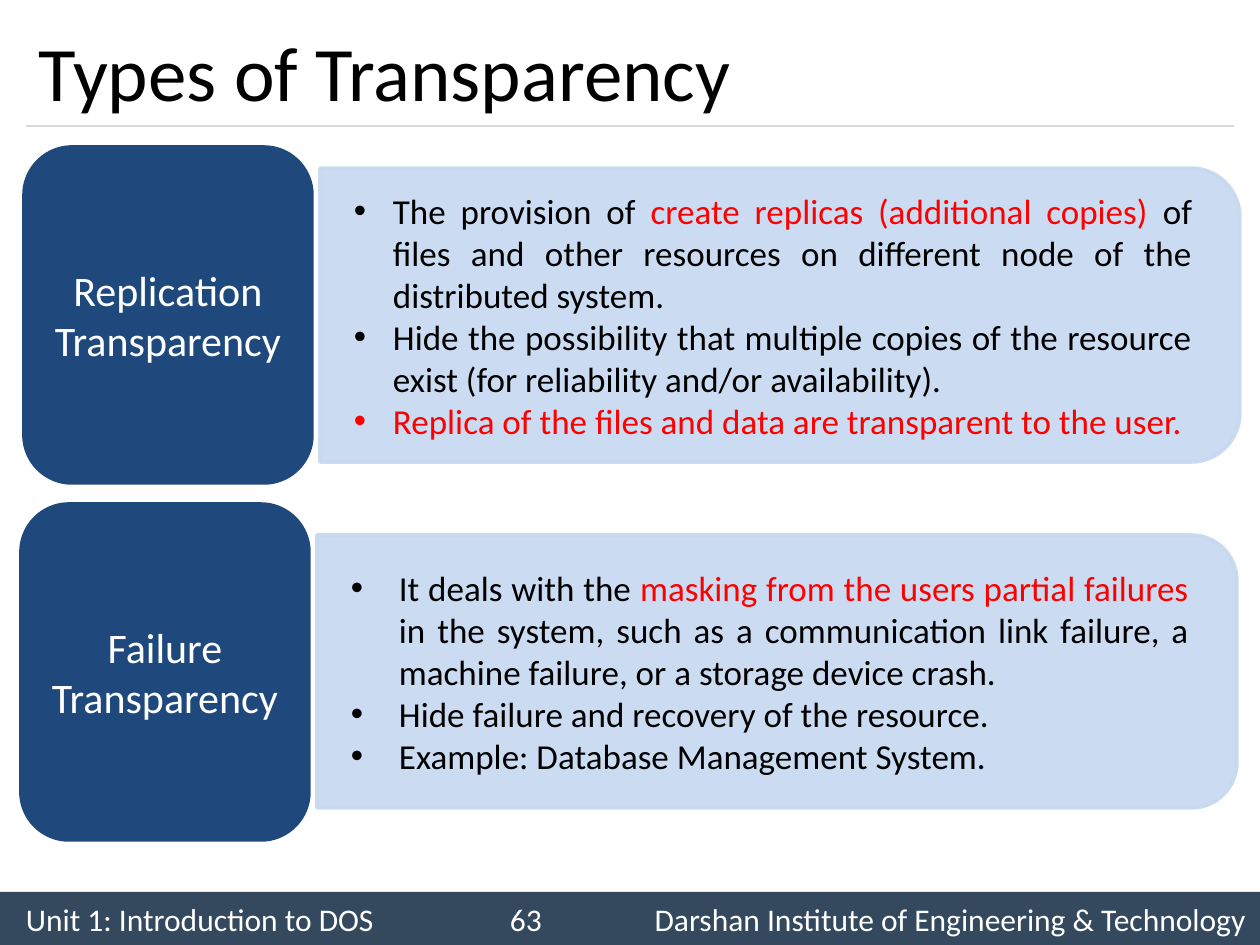
import math
import pptx
import pptx.util
import pptx.dml.color
import pptx.enum.shapes
import pptx.enum.text
import pptx.oxml.ns
from lxml import etree

SCALE = 914400 / 126  # EMU per px
FONT = "Calibri"
BLACK, WHITE, RED = "000000", "FFFFFF", "FF0000"
NAVY, PALE, SLATE, GREY = "1F497D", "C6D9F1", "34495E", "D9D9D9"
ALIGN = pptx.enum.text.PP_ALIGN
SHAPE = pptx.enum.shapes.MSO_SHAPE


def px(length):
    return pptx.util.Emu(round(length * SCALE))


def colour(hex_string):
    return pptx.dml.color.RGBColor.from_string(hex_string)


def add_node(parent, tag, **attributes):
    return etree.SubElement(parent, pptx.oxml.ns.qn(tag), attributes)


class SlideBuilder:
    def __init__(self, slide):
        self.slide = slide

    def add_runs(self, para, runs, size, align):
        para.alignment = align
        for text, run_colour in runs:
            run = para.add_run()
            run.text = text
            run.font.name = FONT
            run.font.size = pptx.util.Pt(size)
            run.font.color.rgb = colour(run_colour)

    def frame(self, shape, left, top, right, bottom):
        frame = shape.text_frame
        frame.word_wrap = True
        frame.vertical_anchor = pptx.enum.text.MSO_ANCHOR.MIDDLE
        frame.margin_left, frame.margin_top = px(left), px(top)
        frame.margin_right, frame.margin_bottom = px(right), px(bottom)
        return frame

    def paint(self, shape, fill, opacity=100):
        shape.shadow.inherit = False
        shape.fill.solid()
        shape.fill.fore_color.rgb = colour(fill)
        shape.line.color.rgb = colour(fill)
        shape.line.width = pptx.util.Pt(2)
        if opacity < 100:
            for node in shape._element.spPr.iter(pptx.oxml.ns.qn("a:srgbClr")):
                add_node(node, "a:alpha", val=str(opacity * 1000))

    def title(self, text, left, top, width, height):
        title = self.slide.shapes.title
        title.left, title.top = px(left), px(top)
        title.width, title.height = px(width), px(height)
        frame = self.frame(title, 13, 6, 13, 6)
        self.add_runs(frame.paragraphs[0], [(text, BLACK)], 44, ALIGN.LEFT)

    def rule(self, left, right, top):
        line = self.slide.shapes.add_connector(
            pptx.enum.shapes.MSO_CONNECTOR.STRAIGHT, px(left), px(top), px(right), px(top))
        line.line.color.rgb = colour(GREY)
        line.line.width = pptx.util.Pt(0.75)
        add_node(line._element.spPr, "a:effectLst")

    def footer(self, parts, left, top, width, height, margin, tabs):
        bar = self.slide.shapes.add_shape(
            SHAPE.RECTANGLE, px(left), px(top), px(width), px(height))
        self.paint(bar, SLATE)
        bar.line.fill.background()
        para = self.frame(bar, margin, 6, 0, 6).paragraphs[0]
        tab_list = add_node(para._p.get_or_add_pPr(), "a:tabLst")
        for position, align in tabs:
            add_node(tab_list, "a:tab", pos=str(px(position - margin)), algn=align)
        self.add_runs(para, [("\t".join(parts), WHITE)], 18, ALIGN.LEFT)

    def card(self, text, left, top, width, height):
        card = self.slide.shapes.add_shape(
            SHAPE.ROUNDED_RECTANGLE, px(left), px(top), px(width), px(height))
        self.paint(card, NAVY)
        para = self.frame(card, 12, 6, 12, 6).paragraphs[0]
        self.add_runs(para, [(text, WHITE)], 24, ALIGN.CENTER)

    def panel(self, bullets, left, top, width, height, indent):
        # Square on the left, rounded on the right
        radius = height / 6
        right, bottom = left + width, top + height
        points = []
        for start, centre_y in ((-90, top + radius), (0, bottom - radius)):
            for step in range(0, 91, 5):
                angle = math.radians(start + step)
                points.append((px(right - radius + radius * math.cos(angle)),
                               px(centre_y + radius * math.sin(angle))))
        points.append((px(left), px(bottom)))
        outline = self.slide.shapes.build_freeform(px(left), px(top), scale=1.0)
        outline.add_line_segments(points, close=True)
        panel = outline.convert_to_shape()
        self.paint(panel, PALE, opacity=90)
        frame = self.frame(panel, 34, 30, 48, 30)
        for index, runs in enumerate(bullets):
            para = frame.paragraphs[0] if index == 0 else frame.add_paragraph()
            settings = para._p.get_or_add_pPr()
            settings.set("marL", str(px(indent)))
            settings.set("indent", str(-px(indent)))
            add_node(settings, "a:buFont", typeface="Arial")
            add_node(settings, "a:buChar", char="•")
            self.add_runs(para, runs, 20, ALIGN.JUSTIFY)


REPLICATION = [
    [("The provision of ", BLACK), ("create replicas (additional copies) ", RED),
     ("of files and other resources on different node of the distributed system.", BLACK)],
    [("Hide the possibility that multiple copies of the resource exist "
      "(for reliability and/or availability).", BLACK)],
    [("Replica of the files and data are transparent to the user.", RED)],
]
FAILURE = [
    [("It deals with the ", BLACK), ("masking from the users partial failures ", RED),
     ("in the system, such as a communication link failure, a machine failure, "
      "or a storage device crash.", BLACK)],
    [("Hide failure and recovery of the resource.", BLACK)],
    [("Example: Database Management System.", BLACK)],
]


def main():
    deck = pptx.Presentation()
    deck.slide_width, deck.slide_height = px(1260), px(945)
    builder = SlideBuilder(deck.slides.add_slide(deck.slide_layouts[5]))

    # Footer bar and heading
    builder.footer(
        ["Unit 1: Introduction to DOS", "63", "Darshan Institute of Engineering & Technology"],
        0, 892, 1260, 53, margin=26, tabs=[(526, "ctr"), (1246, "r")])
    builder.rule(26, 1234, 126)
    builder.title("Types of Transparency", 26, 15, 1207, 111)

    # One row per type: description panel, then its name card
    rows = [
        ("Replication Transparency", REPLICATION, 24, 147, 168, 294, 39),
        ("Failure Transparency", FAILURE, 21, 504, 535, 273, 48),
    ]
    for name, bullets, left, card_top, panel_top, panel_height, indent in rows:
        builder.panel(bullets, left + 296, panel_top, 920, panel_height, indent)
        builder.card(name, left, card_top, 288, 336)

    deck.save("out.pptx")


if __name__ == "__main__":
    main()
